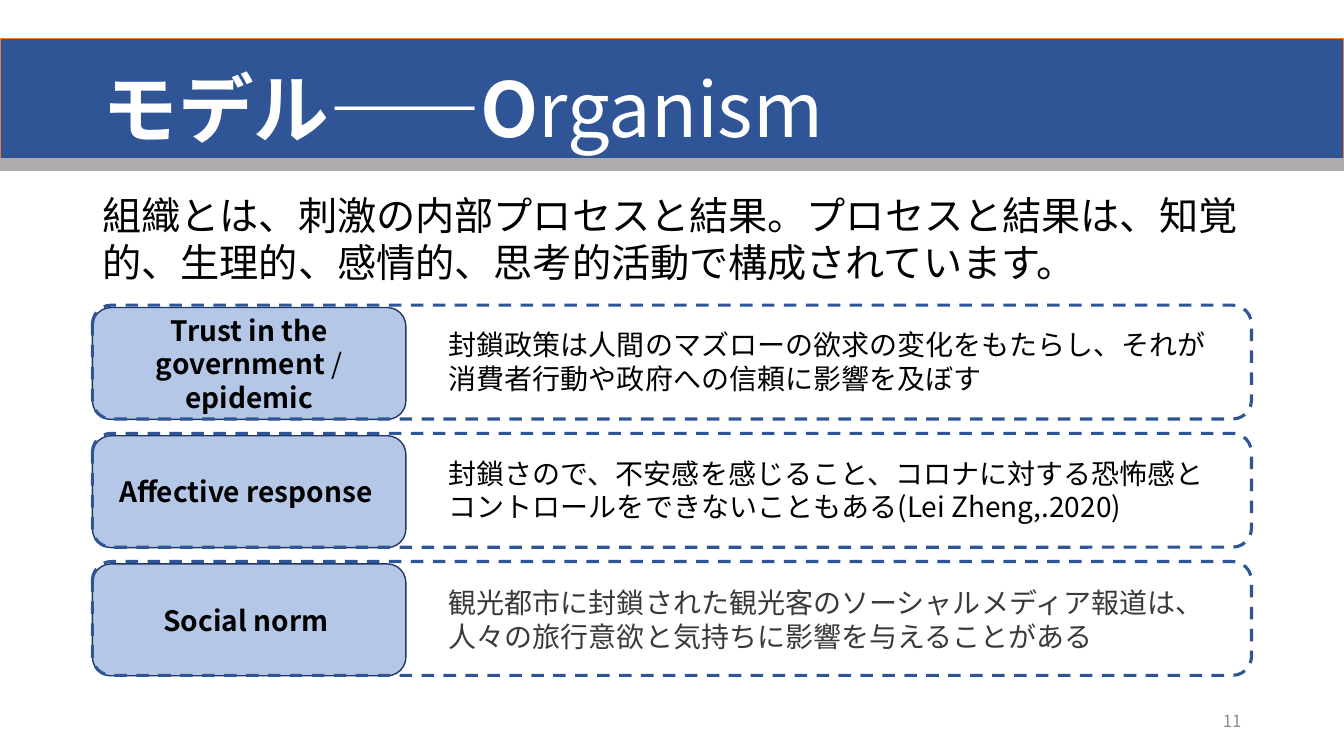
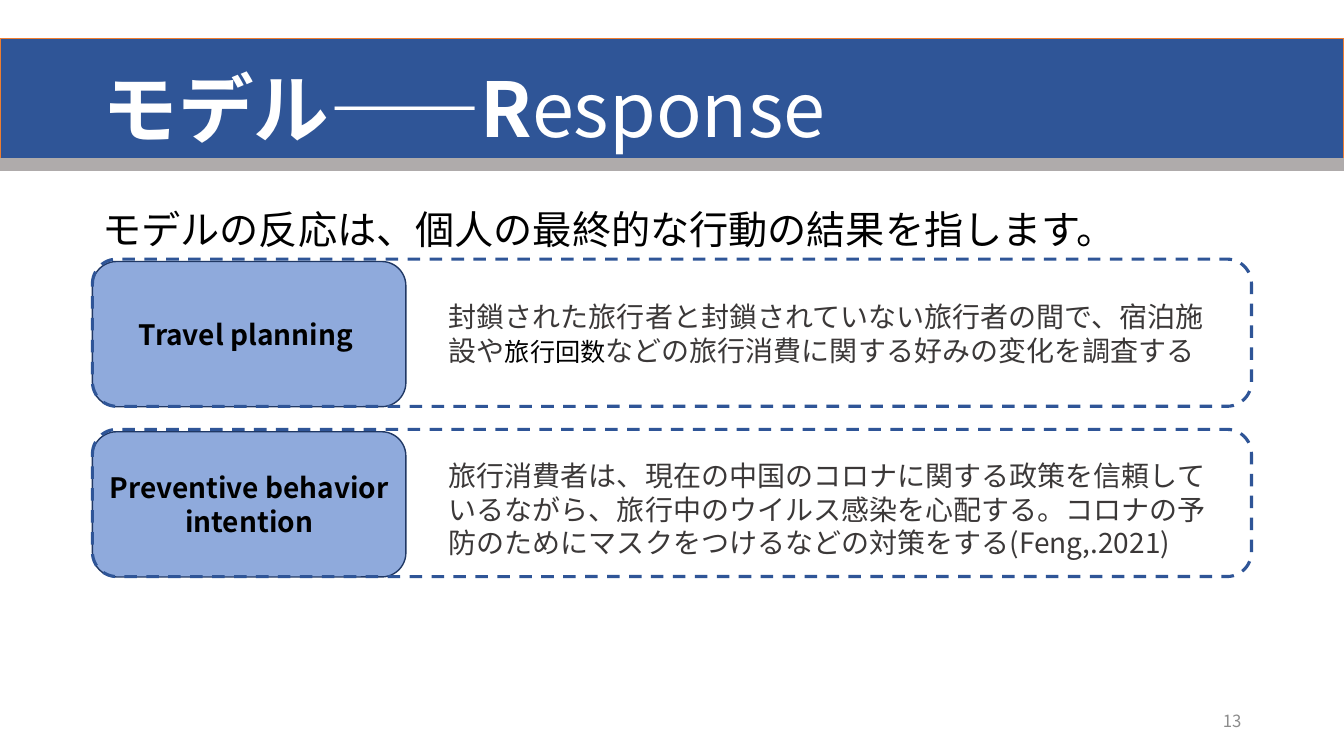
from lxml import etree
from pptx import Presentation
from pptx.dml.color import RGBColor
from pptx.enum.dml import MSO_LINE
from pptx.enum.shapes import MSO_SHAPE
from pptx.enum.text import MSO_ANCHOR, MSO_AUTO_SIZE, PP_ALIGN
from pptx.oxml.ns import qn
from pptx.util import Cm, Pt

FONT = "Noto Sans CJK JP"
HUES = {
    "band": "2F5597", "edge": "ED7D31", "strip": "AFABAB", "rim": "203864",
    "light": "B4C7E7", "mid": "8FAADC", "white": "FFFFFF", "black": "000000",
    "dark": "3B3838", "page": "8C8C8C",
}
LEFT, WIDE = 2.33, 29.21  # shared content margin and width

# Each run is (text, size, bold, colour); each card is
# (label runs, body runs, body offset, body height)
SLIDES = [
    {
        "title": [("モデル——O", 54, True, "white"), ("rganism", 54, False, "white")],
        "lead": "組織とは、刺激の内部プロセスと結果。プロセスと結果は、知覚的、生理的、感情的、思考的活動で構成されています。",
        "lead_top": 4.7, "lead_high": 2.64, "page": "11",
        "fill": "light", "top": 7.69, "step": 3.23, "high": 2.87,
        "cards": [
            ([("Trust in the government", 20, True, "black"),
              (" /", 20, False, "black"), (" epidemic", 20, True, "black")],
             [("封鎖政策は人間のマズローの欲求の変化をもたらし、それが消費者行動や政府への信頼に影響を及ぼす",
               20, False, "black")], 0.45, 1.96),
            ([("Affective response ", 20, True, "black")],
             [("封鎖さので、不安感を感じること、コロナに対する恐怖感とコントロールをできないこともある(Lei Zheng,.2020)",
               20, False, "black")], 0.45, 1.96),
            ([("Social norm ", 20, True, "black")],
             [("観光都市に封鎖された観光客のソーシャルメディア報道は、人々の旅行意欲と気持ちに影響を与えることがある",
               20, False, "dark")], 0.48, 1.96),
        ],
    },
    {
        "title": [("モデル——R", 54, True, "white"), ("esponse", 54, False, "white")],
        "lead": "モデルの反応は、個人の最終的な行動の結果を指します。",
        "lead_top": 5.05, "lead_high": 1.45, "page": "13",
        "fill": "mid", "top": 6.53, "step": 4.29, "high": 3.71,
        "cards": [
            ([("Travel planning ", 20, True, "black")],
             [("封鎖された旅行者と封鎖されていない旅行者の間で、宿泊施設や", 20, False, "dark"),
              ("旅行回数", 18, False, "black"),
              ("などの旅行消費に関する好みの変化を調査する", 20, False, "dark")],
             0.89, 1.96),
            ([("Preventive behavior intention", 20, True, "black")],
             [("旅行消費者は、現在の中国のコロナに関する政策を信頼しているながら、旅行中のウイルス感染を心配する。"
               "コロナの予防のためにマスクをつけるなどの対策をする(Feng,.2021)",
               20, False, "dark")], 0.61, 2.82),
        ],
    },
]


def write(shape, runs, align=PP_ALIGN.LEFT, anchor=MSO_ANCHOR.TOP):
    """Fill a shape with one paragraph of formatted runs."""
    frame = shape.text_frame
    frame.word_wrap = True
    frame.auto_size = MSO_AUTO_SIZE.NONE
    frame.vertical_anchor = anchor
    para = frame.paragraphs[0]
    para.alignment = align
    for text, size, bold, hue in runs:
        run = para.add_run()
        run.text = text
        font = run.font
        font.name, font.size, font.bold = FONT, Pt(size), bold
        font.color.rgb = RGBColor.from_string(HUES[hue])
        # East Asian letters need their own font entry
        east = etree.SubElement(font._element, qn("a:ea"))
        east.set("typeface", FONT)
    return para


def block(shapes, kind, box, fill, line, width=1):
    """Add a flat shape; a fill of None leaves it open."""
    shape = shapes.add_shape(kind, *map(Cm, box))
    shape.shadow.inherit = False
    if fill:
        shape.fill.solid()
        shape.fill.fore_color.rgb = RGBColor.from_string(HUES[fill])
    else:
        shape.fill.background()
    shape.line.color.rgb = RGBColor.from_string(HUES[line])
    shape.line.width = Pt(width)
    return shape


deck = Presentation()
deck.slide_width, deck.slide_height = Cm(33.87), Cm(19.05)

for data in SLIDES:
    slide = deck.slides.add_slide(deck.slide_layouts[5])
    shapes = slide.shapes

    # Header band and strip, with the title in front
    head = shapes.add_group_shape().shapes
    block(head, MSO_SHAPE.RECTANGLE, (0, 0.97, 33.87, 3.04), "band", "edge")
    block(head, MSO_SHAPE.RECTANGLE, (0, 4.01, 33.87, 0.28), "strip", "strip")
    title = shapes.title
    shapes.element.append(title.element)
    title.left, title.top = Cm(LEFT), Cm(1.01)
    title.width, title.height = Cm(WIDE), Cm(3.68)
    para = write(title, data["title"], anchor=MSO_ANCHOR.MIDDLE)
    para.line_spacing = 0.9

    # Lead text and page number
    lead = shapes.add_textbox(Cm(LEFT), Cm(data["lead_top"]),
                              Cm(WIDE), Cm(data["lead_high"]))
    write(lead, [(data["lead"], 28, False, "black")])
    page = shapes.add_textbox(Cm(23.92), Cm(17.66), Cm(7.62), Cm(1.01))
    write(page, [(data["page"], 12, False, "page")],
          PP_ALIGN.RIGHT, MSO_ANCHOR.MIDDLE)

    # Cards: label, dashed frame and body text
    high = data["high"]
    for row, (label, body, drop, tall) in enumerate(data["cards"]):
        top = data["top"] + row * data["step"]
        card = shapes.add_group_shape().shapes
        tab = block(card, MSO_SHAPE.ROUNDED_RECTANGLE,
                    (LEFT, top + 0.06, 7.9, high - 0.05), data["fill"], "rim")
        write(tab, label, PP_ALIGN.CENTER, MSO_ANCHOR.MIDDLE)
        frame = block(card, MSO_SHAPE.ROUNDED_RECTANGLE,
                      (LEFT, top, WIDE, high), None, "band", 2.25)
        frame.line.dash_style = MSO_LINE.DASH
        note = card.add_textbox(Cm(11.06), Cm(top + drop), Cm(19.63), Cm(tall))
        write(note, body)

deck.save("out.pptx")
